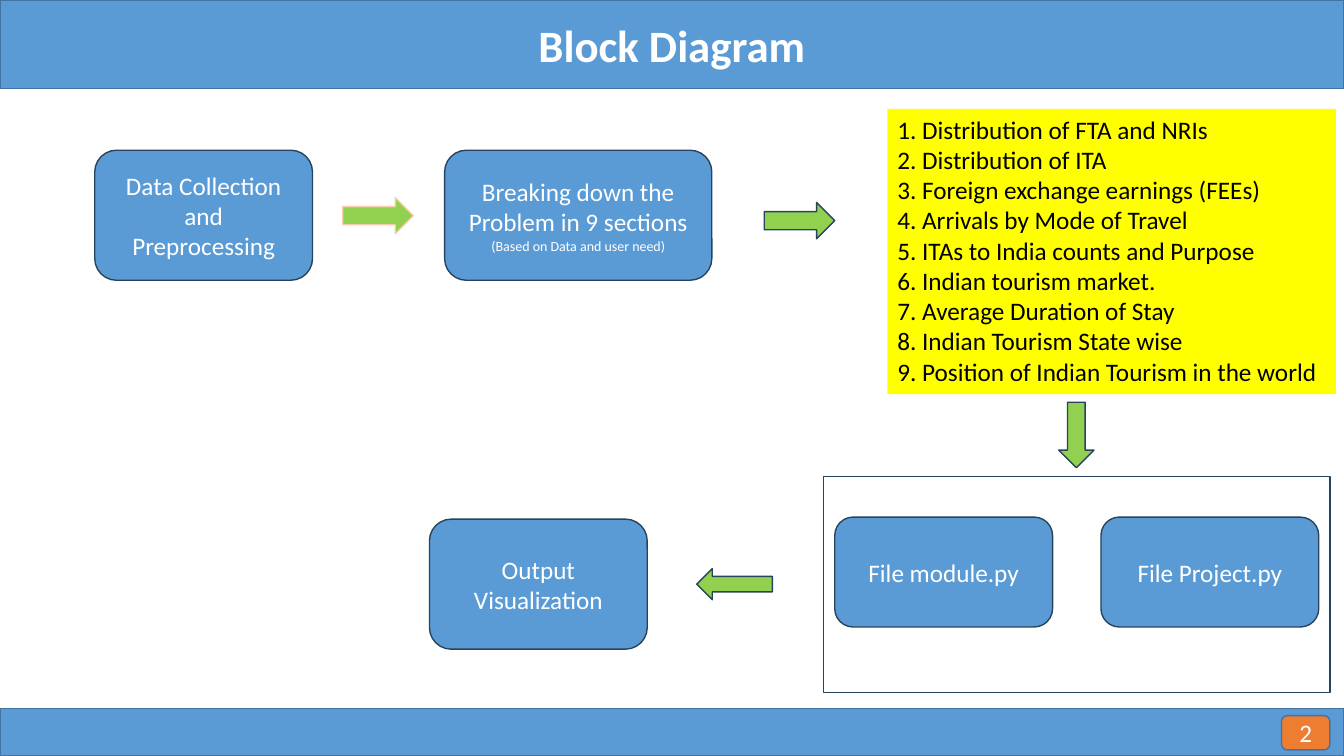
from dataclasses import dataclass
from typing import Optional

from lxml import etree
from pptx import Presentation
from pptx.dml.color import RGBColor
from pptx.enum.shapes import MSO_SHAPE
from pptx.enum.text import MSO_ANCHOR, MSO_AUTO_SIZE, PP_ALIGN
from pptx.oxml.ns import qn
from pptx.util import Inches, Pt

RECT = MSO_SHAPE.RECTANGLE
ROUND = MSO_SHAPE.ROUNDED_RECTANGLE
RIGHT = MSO_SHAPE.RIGHT_ARROW
LEFT = MSO_SHAPE.LEFT_ARROW
DOWN = MSO_SHAPE.DOWN_ARROW
MIDDLE, TOP = MSO_ANCHOR.MIDDLE, MSO_ANCHOR.TOP
CENTER, ALIGN_LEFT = PP_ALIGN.CENTER, PP_ALIGN.LEFT
NO_AUTOFIT = MSO_AUTO_SIZE.NONE
SLIDE_W, SLIDE_H = 13.33, 7.5


@dataclass(frozen=True)
class Theme:
    font: str = "Calibri"
    blue: str = "5B9BD5"
    bar_line: str = "43739E"
    dark_line: str = "28445D"
    green: str = "92D050"
    peach: str = "F8CBAD"
    orange: str = "ED7D31"
    yellow: str = "FFFF00"
    white: str = "FFFFFF"
    black: str = "000000"
    title_size: int = 32
    text_size: int = 18
    note_size: int = 10
    line_width: int = 1


THEME = Theme()


@dataclass(frozen=True)
class Block:
    kind: int
    left: float
    top: float
    width: float
    height: float
    fill: Optional[str] = THEME.blue
    line: str = THEME.dark_line
    text: str = ""
    note: str = ""


def arrow(kind: int, left: float, top: float, width: float, height: float,
          line: str = THEME.dark_line) -> Block:
    return Block(kind, left, top, width, height, THEME.green, line)


FOOTER = [
    Block(RECT, 0, 7.03, SLIDE_W, 0.47, line=THEME.bar_line),
    Block(ROUND, 12.71, 7.1, 0.48, 0.34, THEME.orange, THEME.bar_line, "2"),
]
FLOW = [
    Block(ROUND, 0.94, 1.49, 2.16, 1.29, text="Data Collection and Preprocessing"),
    arrow(RIGHT, 3.4, 1.96, 0.7, 0.36, THEME.peach),
    Block(ROUND, 4.41, 1.49, 2.65, 1.29, text="Breaking down the Problem in 9 sections",
          note="(Based on Data and user need)"),
    arrow(RIGHT, 7.58, 2.01, 0.7, 0.36),
    arrow(DOWN, 10.5, 3.99, 0.35, 0.65),
    Block(ROUND, 8.28, 5.13, 2.16, 1.09, text="File module.py"),
    Block(ROUND, 10.92, 5.13, 2.16, 1.09, text="File Project.py"),
    Block(RECT, 8.17, 4.73, 5.02, 2.14, fill=None),
    arrow(LEFT, 6.91, 5.64, 0.75, 0.31),
    Block(ROUND, 4.26, 5.15, 2.16, 1.29, text="Output Visualization"),
]
SECTIONS = [
    "Distribution of FTA and NRIs",
    "Distribution of ITA",
    "Foreign exchange earnings (FEEs)",
    "Arrivals by Mode of Travel",
    "ITAs to India counts and Purpose",
    "Indian tourism market.",
    "Average Duration of Stay",
    "Indian Tourism State wise",
    "Position of Indian Tourism in the world",
]


def place(sp, left: float, top: float, width: float, height: float) -> None:
    sp.left, sp.top = Inches(left), Inches(top)
    sp.width, sp.height = Inches(width), Inches(height)


def paint(sp, fill: Optional[str], line: Optional[str]) -> None:
    if fill:
        sp.fill.solid()
        sp.fill.fore_color.rgb = RGBColor.from_string(fill)
    else:
        sp.fill.background()
    if line:
        sp.line.color.rgb = RGBColor.from_string(line)
        sp.line.width = Pt(THEME.line_width)


def format_paragraph(p, size: int, color: str, align: int, bold: bool = False) -> None:
    p.alignment = align
    p.space_before = Pt(0)
    for r in p.runs:
        r.font.name = THEME.font
        r.font.size = Pt(size)
        r.font.bold = bold
        r.font.color.rgb = RGBColor.from_string(color)


def add_block(s, block: Block) -> None:
    sp = s.shapes.add_shape(block.kind, Inches(block.left), Inches(block.top),
                            Inches(block.width), Inches(block.height))
    sp.shadow.inherit = False
    paint(sp, block.fill, block.line)
    if not block.text:
        return
    tf = sp.text_frame
    tf.word_wrap = True
    tf.vertical_anchor = MIDDLE
    tf.margin_left = tf.margin_right = Inches(0.12)
    tf.text = block.text
    format_paragraph(tf.paragraphs[0], THEME.text_size, THEME.white, CENTER)
    if block.note:
        p = tf.add_paragraph()
        p.text = block.note
        format_paragraph(p, THEME.note_size, THEME.white, CENTER)


def fill_title(sp, text: str) -> None:
    place(sp, 0, 0, SLIDE_W, 0.88)
    paint(sp, THEME.blue, THEME.bar_line)
    tf = sp.text_frame
    tf.text = text
    tf.auto_size = NO_AUTOFIT
    tf.vertical_anchor = MIDDLE
    format_paragraph(tf.paragraphs[0], THEME.title_size, THEME.white, CENTER, True)


def fill_sections(sp, sections: list[str]) -> None:
    place(sp, 8.8, 1.08, 4.45, 2.83)
    paint(sp, THEME.yellow, None)
    tf = sp.text_frame
    tf.text = "\n".join(f"{n}. {name}" for n, name in enumerate(sections, 1))
    tf.auto_size = NO_AUTOFIT
    tf.vertical_anchor = TOP
    for p in tf.paragraphs:
        format_paragraph(p, THEME.text_size, THEME.black, ALIGN_LEFT)
        props = p._p.get_or_add_pPr()
        props.set("marL", "0")
        props.set("indent", "0")
        etree.SubElement(props, qn("a:buNone"))


def main() -> None:
    prs = Presentation()
    prs.slide_width, prs.slide_height = Inches(SLIDE_W), Inches(SLIDE_H)
    s = prs.slides.add_slide(prs.slide_layouts[1])
    fill_title(s.shapes.title, "Block Diagram")
    fill_sections(s.placeholders[1], SECTIONS)
    for block in FOOTER + FLOW:
        add_block(s, block)
    prs.save("out.pptx")


if __name__ == "__main__":
    main()
